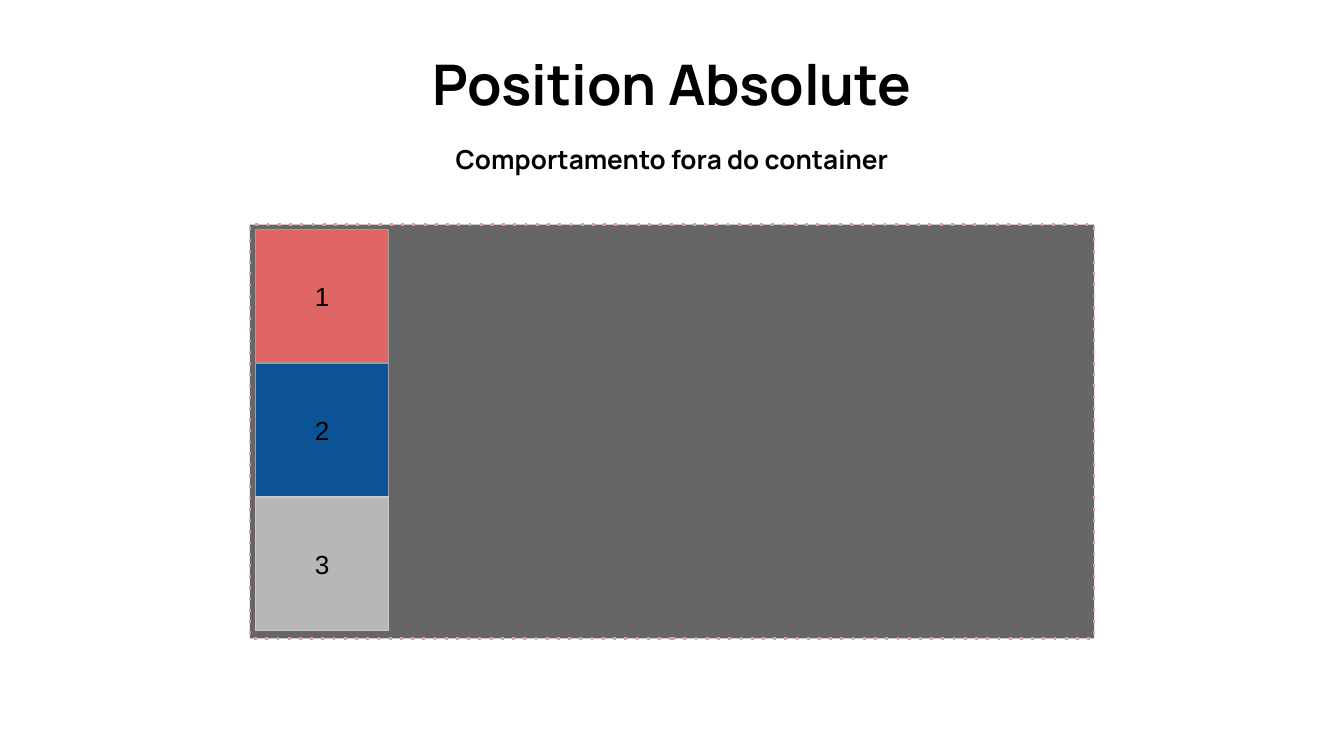
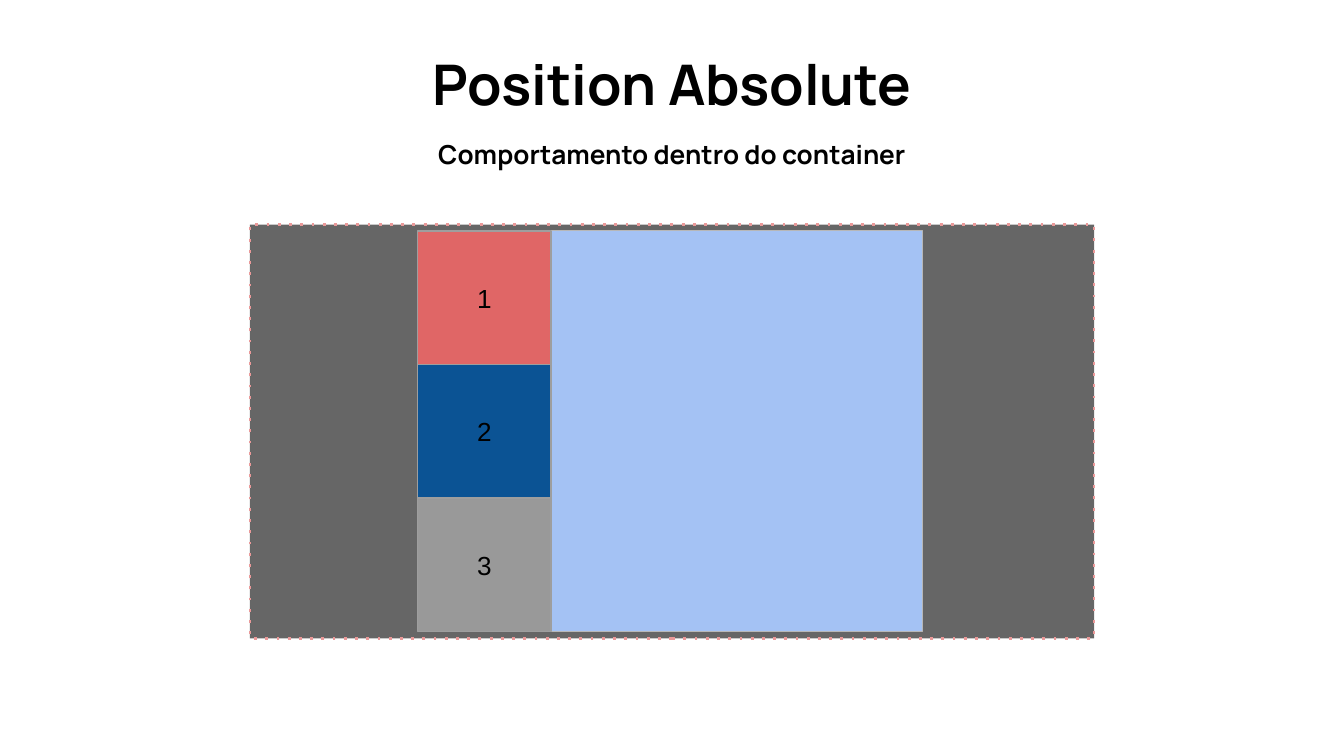
from dataclasses import dataclass
from lxml.etree import SubElement
from pptx import Presentation
from pptx.dml.color import RGBColor
from pptx.enum.shapes import MSO_SHAPE
from pptx.enum.text import MSO_ANCHOR, MSO_AUTO_SIZE, PP_ALIGN
from pptx.oxml.ns import qn
from pptx.util import Pt


@dataclass(frozen=True)
class Theme:
    """Colours, fonts and type sizes of the deck."""
    ink: str = "000000"
    paper: str = "FFFFFF"
    stage: str = "666666"
    dots: str = "EA9999"
    red: str = "E06666"
    blue: str = "0B5394"
    silver: str = "B7B7B7"
    grey: str = "999999"
    sky: str = "A4C2F4"
    edge: str = "9E9E9E"
    pale: str = "CCCCCC"
    head: str = "Manrope"
    body: str = "Arial"
    large: int = 30
    small: int = 14


THEME = Theme()
TITLE = (30, 19.5, 660, 50.5)
STAGE = (133.9, 120.3, 452.2, 221.7)
SIDE, STEP = 71.5, 71.6
FRAME = dict(word_wrap=True, auto_size=MSO_AUTO_SIZE.NONE,
             **{f"margin_{side}": Pt(7.2) for side in ("left", "top", "right", "bottom")})
PARA = dict(alignment=PP_ALIGN.CENTER, space_before=Pt(0), line_spacing=1.0)


def apply(target, values):
    """Set each named value on the target."""
    for name, value in values.items():
        setattr(target, name, value)


def place(shape, box):
    """Move and size a shape to a box in points."""
    apply(shape, dict(zip(("left", "top", "width", "height"), map(Pt, box))))


def write(shape, text, face, size, bold, anchor):
    """Put one centred line of text in a shape."""
    frame = shape.text_frame
    frame.text = text
    apply(frame, FRAME | dict(vertical_anchor=anchor))
    para = frame.paragraphs[0]
    apply(para, PARA)
    font = para.runs[0].font
    apply(font, dict(name=face, size=Pt(size), bold=bold))
    font.color.rgb = RGBColor.from_string(THEME.ink)


def block(slide, box, fill, edge, width=0.75):
    """Draw a filled and outlined rectangle."""
    shape = slide.shapes.add_shape(MSO_SHAPE.RECTANGLE, *map(Pt, box))
    shape.shadow.inherit = False
    shape.fill.solid()
    shape.fill.fore_color.rgb = RGBColor.from_string(fill)
    shape.line.color.rgb = RGBColor.from_string(edge)
    shape.line.width = Pt(width)
    return shape


def header(slide, box, note, drop):
    """Fill the title and, below it by a drop, the centred subtitle."""
    left, top, width, height = box
    title, sub = slide.shapes.title, slide.placeholders[1]
    place(title, box)
    place(sub, (left + (width - 284) / 2, top + drop, 284, 28))
    write(title, "Position Absolute", THEME.head, THEME.large, True, MSO_ANCHOR.TOP)
    write(sub, note, THEME.head, THEME.small, True, MSO_ANCHOR.TOP)


def stage(slide, box):
    """Draw the grey page area with its dotted outline."""
    shape = block(slide, box, THEME.stage, THEME.dots, 1.5)
    line = shape.element.spPr.find(qn("a:ln"))
    SubElement(line, qn("a:prstDash"), val="dot")


def stack(slide, box, shift, tiles):
    """Stack the numbered squares from a shift inside the box."""
    left, top = box[0] + shift[0], box[1] + shift[1]
    for row, (fill, edge) in enumerate(tiles):
        tile = block(slide, (left, top + row * STEP, SIDE, SIDE), fill, edge)
        write(tile, str(row + 1), THEME.body, THEME.small, False, MSO_ANCHOR.MIDDLE)


def start(deck, note, drop):
    """Add a slide with its header and stage."""
    slide = deck.slides.add_slide(deck.slide_layouts[0])
    header(slide, TITLE, note, drop)
    stage(slide, STAGE)
    return slide


def outside(deck):
    """Build the slide with squares at the page corner."""
    slide = start(deck, "Comportamento fora do container", 50.3)
    stack(slide, STAGE, (2.9, 2.8),
          [(THEME.red, THEME.edge), (THEME.blue, THEME.edge), (THEME.silver, THEME.pale)])


def inside(deck):
    """Build the slide with squares held by a container."""
    slide = start(deck, "Comportamento dentro do container", 47.5)
    left, top = STAGE[:2]
    block(slide, (left + 91.6, top + 3.1, 268.6, 215), THEME.sky, THEME.silver)
    stack(slide, STAGE, (89.8, 3.4),
          [(fill, THEME.edge) for fill in (THEME.red, THEME.blue, THEME.grey)])


def main():
    """Build and save the deck."""
    deck = Presentation()
    apply(deck, dict(slide_width=Pt(720), slide_height=Pt(405)))
    back = deck.slide_master.background.fill
    back.solid()
    back.fore_color.rgb = RGBColor.from_string(THEME.paper)
    outside(deck)
    inside(deck)
    deck.save("out.pptx")


if __name__ == "__main__":
    main()
